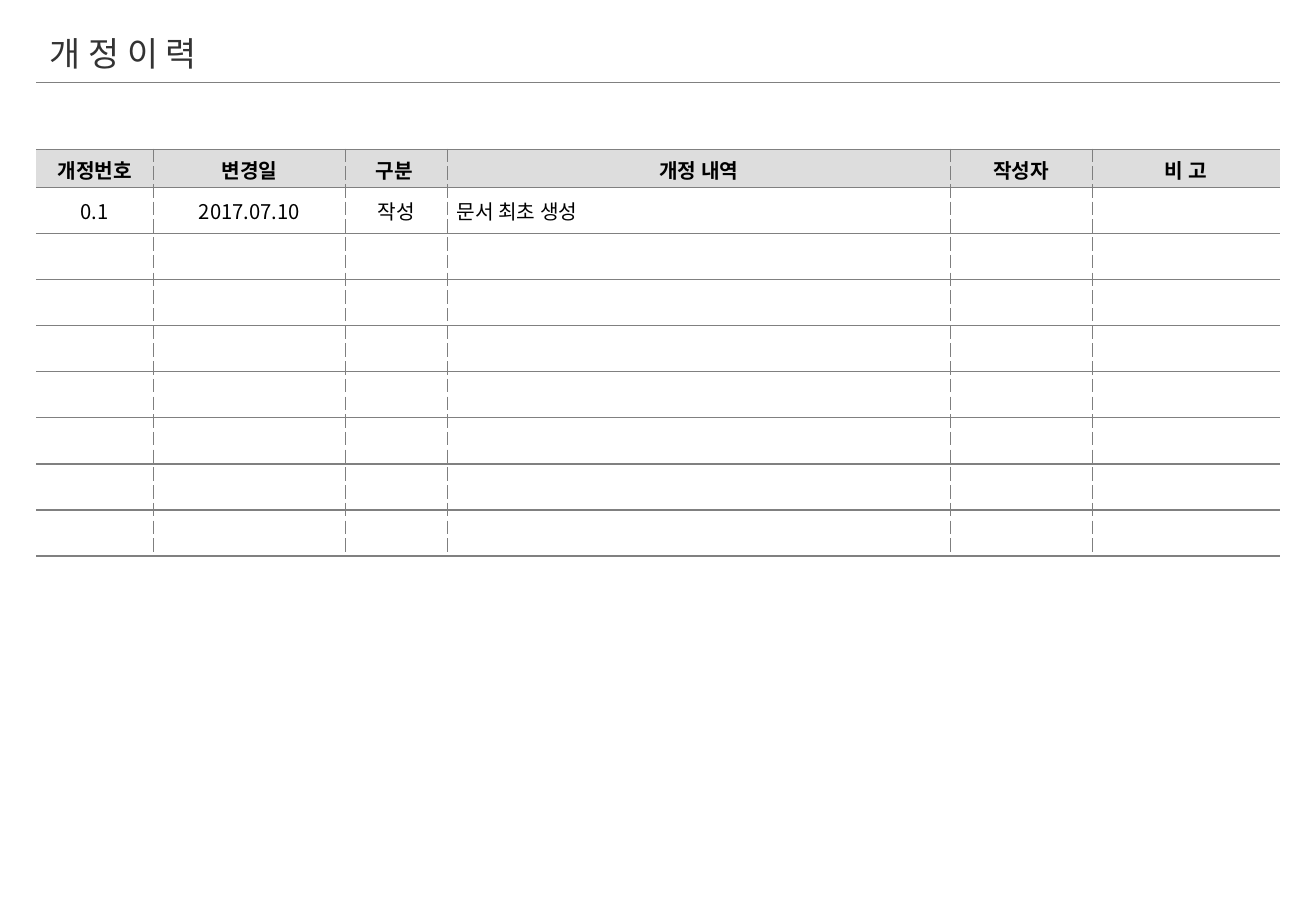
import pptx
import pptx.dml.color
import pptx.enum.dml
import pptx.enum.shapes
import pptx.enum.text
import pptx.oxml
import pptx.oxml.ns
import pptx.util
import lxml.etree

Pt = pptx.util.Pt
Color = pptx.dml.color.RGBColor.from_string
Align = pptx.enum.text.PP_ALIGN
Anchor = pptx.enum.text.MSO_ANCHOR
qn = pptx.oxml.ns.qn

theme = {
    "font": "Noto Sans CJK KR",
    "title_size": 20, "body_size": 12,
    "title": "333333", "text": "000000",
    "header": "DDDDDD", "row": "FFFFFF",
    "rule": "808080", "divider": "7F7F7F",
}


def write(paragraph, text, size, color, bold=False):
    run = paragraph.add_run()
    run.text = text
    formats = {"name": theme["font"], "size": Pt(theme[size]), "bold": bold}
    for attribute, value in formats.items():
        setattr(run.font, attribute, value)
    run.font.color.rgb = Color(theme[color])
    east_asian = lxml.etree.SubElement(run.font._element, qn("a:ea"))
    east_asian.set("typeface", theme["font"])


def add_border(cell, side, color, width, dash):
    cell._tc.get_or_add_tcPr().append(pptx.oxml.parse_xml(
        f'<a:{side} xmlns:a="http://schemas.openxmlformats.org/drawingml/2006/main"'
        f' w="{Pt(width)}"><a:solidFill><a:srgbClr val="{theme[color]}"/></a:solidFill>'
        f'<a:prstDash val="{dash}"/></a:{side}>'))


deck = pptx.Presentation()
deck.slide_width, deck.slide_height = Pt(780), Pt(540)
slide = deck.slides.add_slide(deck.slide_layouts[5])

# Heading
heading = slide.shapes.title
for attribute, value in {"left": 22.3, "top": 13.7, "width": 498, "height": 35.3}.items():
    setattr(heading, attribute, Pt(value))
heading_format = {
    "vertical_anchor": Anchor.MIDDLE, "word_wrap": True,
    "auto_size": pptx.enum.text.MSO_AUTO_SIZE.NONE,
}
for attribute, value in heading_format.items():
    setattr(heading.text_frame, attribute, value)
heading_line = heading.text_frame.paragraphs[0]
heading_line.alignment = Align.LEFT
write(heading_line, "개 정 이 력", "title_size", "title")

# Revision history table
history = [
    ["개정번호", "변경일", "구분 ", "개정 내역", "작성자", "비 고"],
    ["0.1", "2017.07.10", "작성", "문서 최초 생성", "", ""],
] + [[""] * 6 for _ in range(7)]
column_widths = [69.6, 113.8, 60.4, 298.1, 84.1, 111.1]
row_heights = [22.5] + [27.33] * 8

revisions = slide.shapes.add_table(
    len(history), len(column_widths), Pt(21.4), Pt(88.5),
    Pt(sum(column_widths)), Pt(sum(row_heights))).table
revisions.first_row = revisions.horz_banding = False
# Built-in "No Style, No Grid"
revisions._tbl.tblPr.find(qn("a:tableStyleId")).text = "{2D5ABB26-0587-4C30-8999-92F81FD0307C}"
for column, width in zip(revisions.columns, column_widths):
    column.width = Pt(width)

for r, entries in enumerate(history):
    revisions.rows[r].height = Pt(row_heights[r])
    is_header = r == 0
    cell_format = {
        "vertical_anchor": Anchor.MIDDLE,
        "margin_left": Pt(5.5), "margin_right": Pt(5.5),
        "margin_top": Pt(3.6), "margin_bottom": Pt(1.4 if is_header else 3.6),
    }
    for c, entry in enumerate(entries):
        cell = revisions.cell(r, c)
        for attribute, value in cell_format.items():
            setattr(cell, attribute, value)

        # Dashed dividers between columns, solid rules between rows
        if c > 0:
            add_border(cell, "lnL", "divider", 0.5, "dash")
        if c < len(entries) - 1:
            add_border(cell, "lnR", "divider", 0.5, "dash")
        for side in ("lnT", "lnB"):
            add_border(cell, side, "rule", 1, "solid")
        cell.fill.solid()
        cell.fill.fore_color.rgb = Color(theme["header" if is_header else "row"])

        line = cell.text_frame.paragraphs[0]
        line.alignment = Align.LEFT if c == 3 and not is_header else Align.CENTER
        if entry:
            write(line, entry, "body_size", "text", is_header)
        else:
            end = lxml.etree.SubElement(line._p, qn("a:endParaRPr"))
            end.set("sz", str(theme["body_size"] * 100))

# Rule under the heading
heading_rule = slide.shapes.add_connector(
    pptx.enum.shapes.MSO_CONNECTOR.STRAIGHT, Pt(21.4), Pt(49), Pt(758.5), Pt(49))
heading_rule.line.color.rgb = Color(theme["rule"])
heading_rule.line.width = Pt(1)
lxml.etree.SubElement(heading_rule._element.spPr, qn("a:effectLst"))

deck.save("out.pptx")
